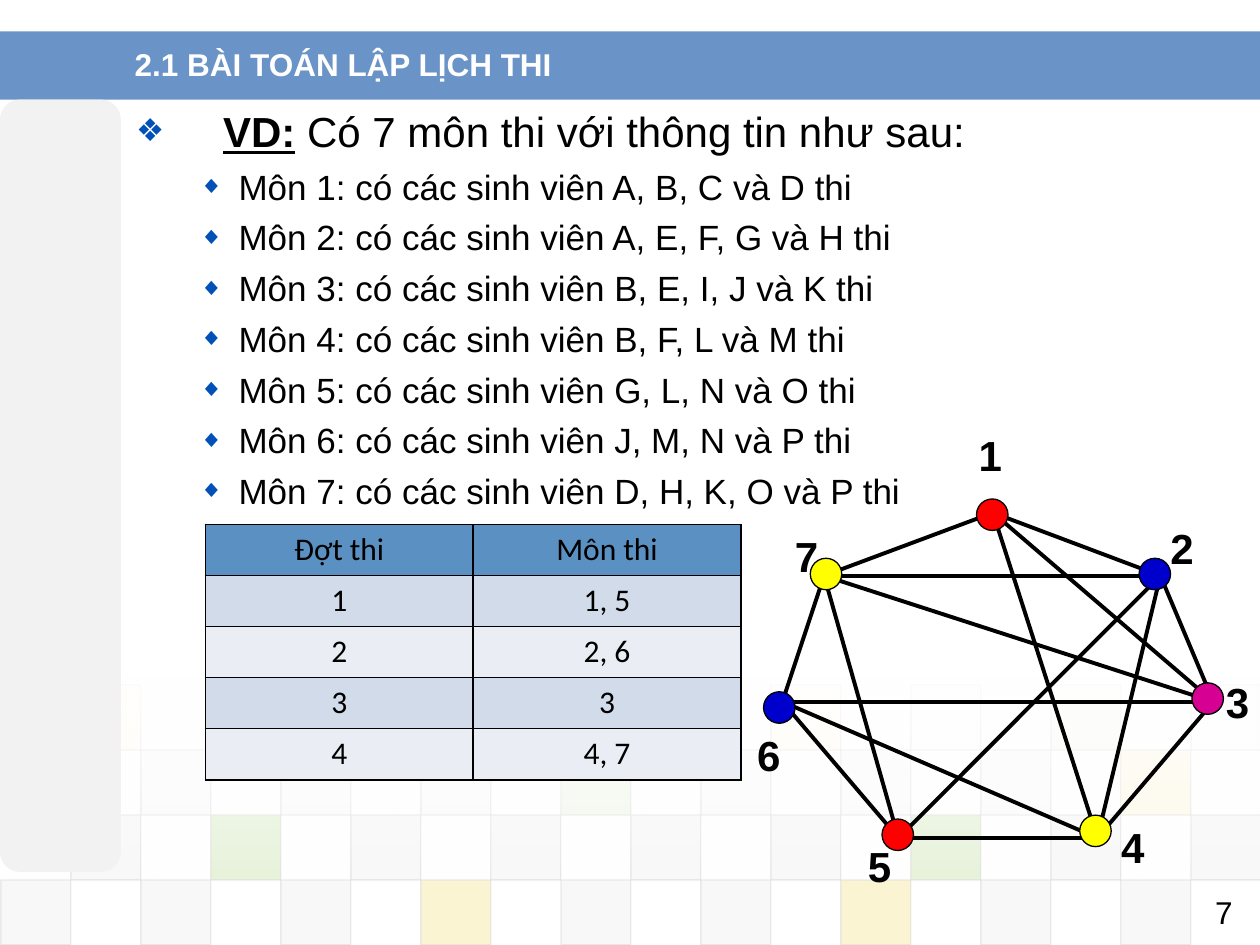
from typing import NamedTuple

from lxml import etree
from pptx import Presentation
from pptx import util as u
from pptx.dml.color import RGBColor
from pptx.enum import shapes, text
from pptx.oxml import ns

Pt = u.Pt
KIND = shapes.MSO_SHAPE
ALIGN = text.PP_ALIGN
MIDDLE = text.MSO_ANCHOR.MIDDLE

BLACK = RGBColor(0x00, 0x00, 0x00)
WHITE = RGBColor(0xFF, 0xFF, 0xFF)
BAND = RGBColor(0x6A, 0x94, 0xC7)
PANEL = RGBColor(0xF2, 0xF2, 0xF2)
MARK = RGBColor(0x02, 0x51, 0xB8)
RED = RGBColor(0xFF, 0x00, 0x00)
BLUE = RGBColor(0x00, 0x00, 0xCC)
PINK = RGBColor(0xD6, 0x00, 0x93)
YELLOW = RGBColor(0xFF, 0xFF, 0x00)
HEAD = RGBColor(0x5A, 0x90, 0xC2)
DARK = RGBColor(0xD2, 0xDB, 0xE9)
LIGHT = RGBColor(0xEA, 0xEE, 0xF4)
GREY = RGBColor(0xDD, 0xDD, 0xDD)
TILES = {
    "D": GREY,
    "E": RGBColor(0xEA, 0xEA, 0xEA),
    "G": RGBColor(0x8A, 0xC2, 0x46),
    "Y": RGBColor(0xEF, 0xC8, 0x21),
}


class Row(NamedTuple):
    """One row of the tile floor: every second column is filled."""
    start: int
    alpha: int
    tints: str


class Node(NamedTuple):
    """One exam: where its edges meet, its dot and its number."""
    hub: tuple[float, float]
    dot: tuple[float, float]
    label: tuple[float, float]
    color: RGBColor


FLOOR = [
    Row(1, 5, "YEEYDYEGE"),
    Row(0, 10, "DDDDGDDDY"),
    Row(1, 20, "DGDDDDGDD"),
    Row(0, 20, "DDDYDDYDD"),
]
NODES = {
    1: Node((567.4, 293), (558, 285.1), (552.2, 241.9), RED),
    2: Node((663.1, 329), (650.9, 319), (661.7, 295.2), BLUE),
    3: Node((693.4, 401), (681.1, 390.2), (693.4, 383), PINK),
    4: Node((627.1, 478.8), (617, 465.8), (633.6, 465.8), YELLOW),
    5: Node((513.4, 478.8), (504, 468), (488.9, 476.6), RED),
    6: Node((447.1, 401), (436.3, 395.3), (425.5, 413.3), BLUE),
    7: Node((470.9, 329), (463, 319), (447.1, 299.5), YELLOW),
}
EDGES = [(1, 7), (7, 6), (6, 5), (1, 2), (2, 3), (3, 4), (4, 5), (7, 2),
         (6, 3), (7, 5), (2, 5), (2, 4), (4, 6), (3, 1), (7, 3), (1, 4)]
EXAMS = ["A, B, C và D", "A, E, F, G và H", "B, E, I, J và K", "B, F, L và M",
         "G, L, N và O", "J, M, N và P", "D, H, K, O và P"]
PLAN = [("Đợt thi", "Môn thi"), ("1", "1, 5"), ("2", "2, 6"), ("3", "3"), ("4", "4, 7")]


def add(parent, tag: str, **attrs: str):
    return etree.SubElement(parent, ns.qn(tag), attrs)


def fade(color, alpha: float) -> None:
    add(color, "a:alpha", val=str(int(alpha * 1000)))


def place(shape, x: float, y: float, w: float, h: float) -> None:
    shape.left, shape.top, shape.width, shape.height = Pt(x), Pt(y), Pt(w), Pt(h)


def style(font, size: float, color: RGBColor, bold: bool = False, name: str = "Arial") -> None:
    font.name, font.size, font.bold = name, Pt(size), bold
    font.color.rgb = color


def draw(slide, kind, x: float, y: float, w: float, h: float, fill: RGBColor,
         line: RGBColor | None = None):
    shape = slide.shapes.add_shape(kind, Pt(x), Pt(y), Pt(w), Pt(h))
    shape.shadow.inherit = False
    shape.fill.solid()
    shape.fill.fore_color.rgb = fill
    if line is None:
        shape.line.fill.background()
    else:
        shape.line.color.rgb = line
        shape.line.width = Pt(0.75)
    return shape


def write(slide, words: str, x: float, y: float, w: float, h: float, size: float,
          bold: bool = False):
    box = slide.shapes.add_textbox(Pt(x), Pt(y), Pt(w), Pt(h))
    box.text_frame.word_wrap = True
    box.text_frame.text = words
    para = box.text_frame.paragraphs[0]
    style(para.runs[0].font, size, BLACK, bold)
    return box


def draw_floor(slide) -> None:
    for r, row in enumerate(FLOOR):
        for i, tint in enumerate(row.tints):
            x = 0.5 + 40 * (row.start + 2 * i)
            tile = draw(slide, KIND.RECTANGLE, x, 391.5 + 37.1 * r, 40, 37.1, TILES[tint], GREY)
            fill, line = tile._element.spPr.iter(ns.qn("a:srgbClr"))
            fade(fill, row.alpha)
            fade(line, 60)
    # White veil that clears towards the foot
    veil = draw(slide, KIND.RECTANGLE, 0, 386.6, 720, 116.6, WHITE)
    veil.fill.gradient()
    veil.fill.gradient_angle = 270
    for stop, alpha in zip(veil.fill.gradient_stops, (90, 0)):
        stop.color.rgb = WHITE
    for color, alpha in zip(veil._element.spPr.iter(ns.qn("a:srgbClr")), (90, 0)):
        fade(color, alpha)


def bullet(para, char: str, size: int, left: float, hang: float) -> None:
    props = para._p.get_or_add_pPr()
    props.set("marL", str(Pt(left)))
    props.set("indent", str(-Pt(hang)))
    add(add(props, "a:buClr"), "a:srgbClr", val=str(MARK))
    add(props, "a:buSzPct", val=str(size * 1000))
    add(props, "a:buFont", typeface="Arial")
    add(props, "a:buChar", char=char)
    para.alignment = ALIGN.JUSTIFY


def fill_list(frame) -> None:
    frame.auto_size = text.MSO_AUTO_SIZE.NONE
    intro = frame.paragraphs[0]
    bullet(intro, "❖", 75, 49.7, 49.7)
    intro.space_before = Pt(0)
    for words in ("VD:", " Có 7 môn thi với thông tin như sau:"):
        run = intro.add_run()
        run.text = words
        style(run.font, 24, BLACK, words == "VD:")
        run.font.underline = words == "VD:"
    for i, names in enumerate(EXAMS, 1):
        para = frame.add_paragraph()
        para.text = f"Môn {i}: có các sinh viên {names} thi"
        para.level = 1
        bullet(para, "◆", 70, 58.5, 22.5)
        para.space_before = Pt(5)
        style(para.runs[0].font, 20, BLACK)


def draw_graph(slide) -> None:
    for a, b in EDGES:
        ends = [Pt(v) for v in NODES[a].hub + NODES[b].hub]
        edge = slide.shapes.add_connector(shapes.MSO_CONNECTOR.STRAIGHT, *ends)
        edge.line.color.rgb = BLACK
        edge.line.width = Pt(2.25)
        add(edge._element.spPr, "a:effectLst")
    for num, node in NODES.items():
        write(slide, str(num), *node.label, 18, 36.7, 24, True)
    for node in NODES.values():
        draw(slide, KIND.OVAL, *node.dot, 18, 18, node.color, BLACK)


def border(cell) -> None:
    props = cell._tc.get_or_add_tcPr()
    for i, side in enumerate(("a:lnL", "a:lnR", "a:lnT", "a:lnB")):
        line = add(props, side, w=str(Pt(1)))
        add(add(line, "a:solidFill"), "a:srgbClr", val=str(BLACK))
        props.insert(i, line)


def draw_plan(slide) -> None:
    table = slide.shapes.add_table(5, 2, Pt(117.4), Pt(299.6), Pt(306), Pt(146)).table
    for r, row in enumerate(PLAN):
        for c, words in enumerate(row):
            cell = table.cell(r, c)
            cell.text_frame.text = words
            para = cell.text_frame.paragraphs[0]
            para.alignment = ALIGN.CENTER
            style(para.runs[0].font, 18, BLACK, name="Calibri")
            cell.fill.solid()
            cell.fill.fore_color.rgb = HEAD if r == 0 else DARK if r % 2 else LIGHT
            border(cell)


def main() -> None:
    deck = Presentation()
    deck.slide_width, deck.slide_height = Pt(720), Pt(540)
    slide = deck.slides.add_slide(deck.slide_layouts[1])
    title, body = slide.placeholders

    # Backdrop
    draw(slide, KIND.RECTANGLE, 0, 18, 720, 39, BAND)
    draw_floor(slide)
    draw(slide, KIND.ROUNDED_RECTANGLE, 0, 56.9, 69.1, 441.4, PANEL)

    # Title and list, brought in front of the backdrop
    for holder in (title, body):
        slide.shapes._spTree.append(holder._element)
    place(title, 69.8, 12.2, 581.8, 48.2)
    title.text_frame.text = "2.1 BÀI TOÁN LẬP LỊCH THI"
    title.text_frame.vertical_anchor = MIDDLE
    head = title.text_frame.paragraphs[0]
    head.alignment = ALIGN.LEFT
    style(head.runs[0].font, 18, WHITE, True)
    place(body, 70.6, 56.9, 647.3, 389.5)
    fill_list(body.text_frame)

    # Page number
    page = write(slide, "7", 543.6, 509, 167.8, 23.8, 18)
    page.text_frame.vertical_anchor = MIDDLE
    page.text_frame.paragraphs[0].alignment = ALIGN.RIGHT

    # Conflict graph and exam plan
    draw_graph(slide)
    draw_plan(slide)
    deck.save("out.pptx")


if __name__ == "__main__":
    main()
